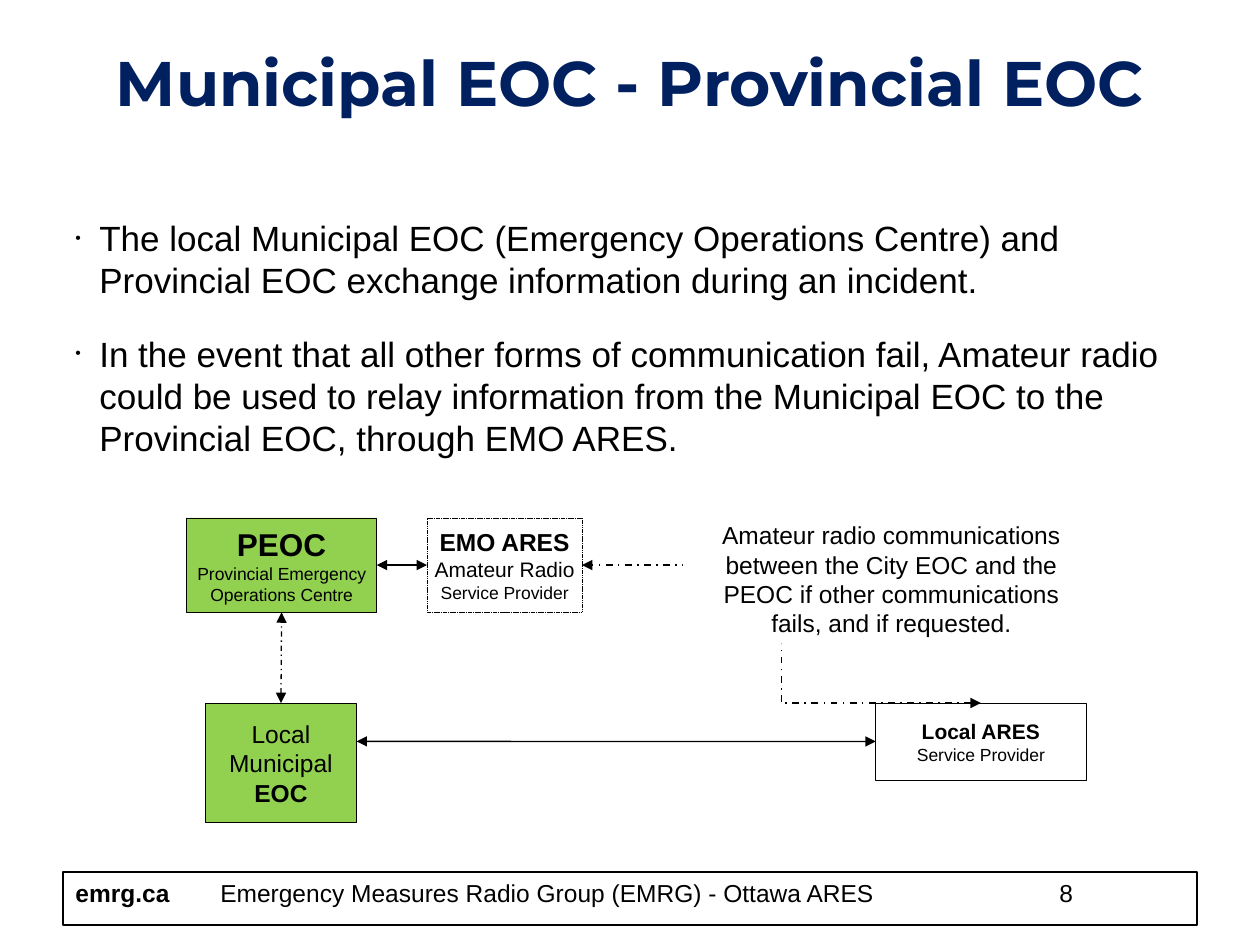
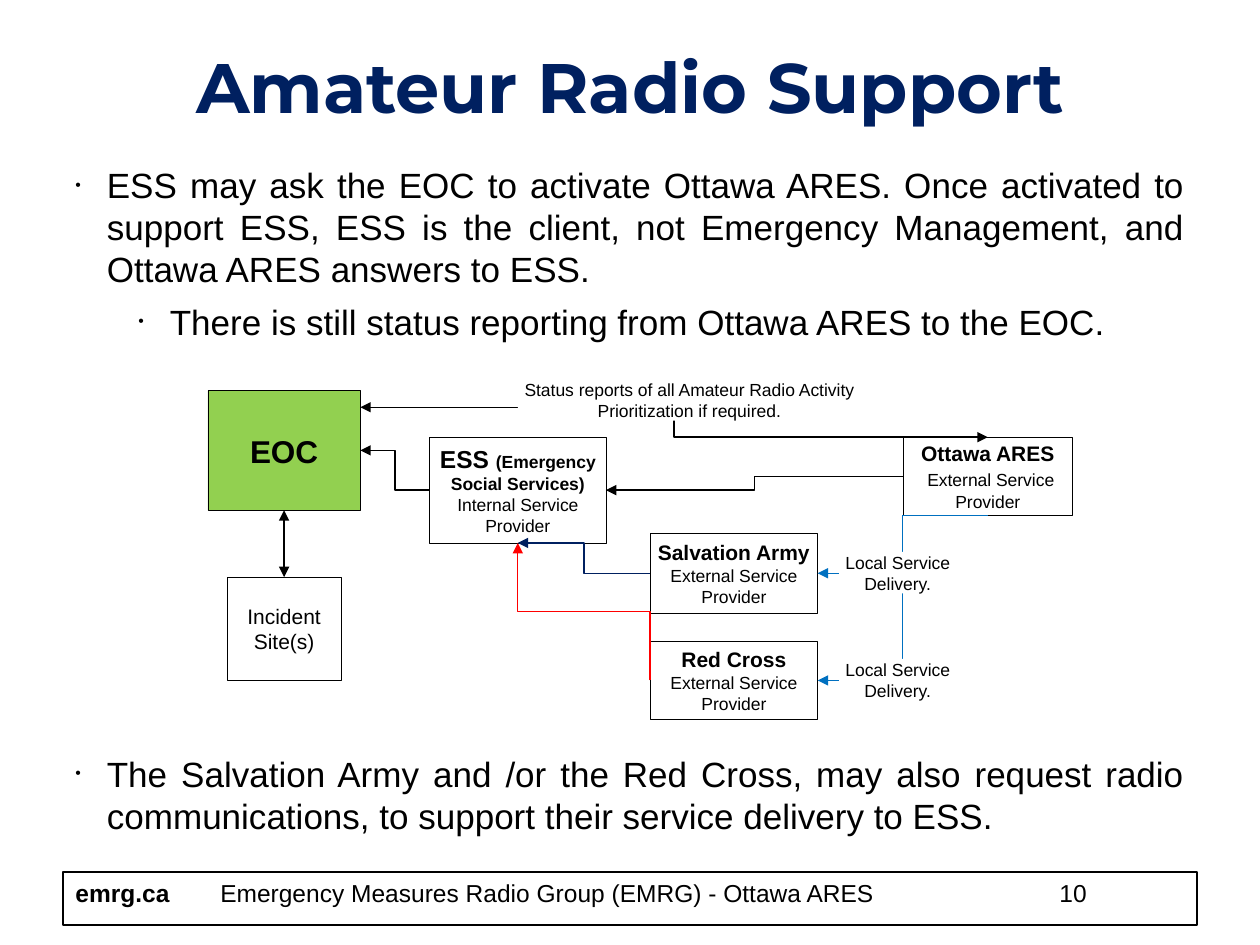
from pptx import Presentation
from pptx.util import Inches, Pt
from pptx.dml.color import RGBColor
from pptx.enum.dml import MSO_LINE
from pptx.enum.shapes import MSO_CONNECTOR as CONN, MSO_SHAPE
from pptx.enum.text import MSO_ANCHOR as ANCHOR, PP_ALIGN as ALIGN
from pptx.oxml.ns import qn
from lxml import etree

BLACK = RGBColor(0x00, 0x00, 0x00)
WHITE = RGBColor(0xFF, 0xFF, 0xFF)
NAVY = RGBColor(0x00, 0x20, 0x60)
GREEN = RGBColor(0x92, 0xD0, 0x50)
BLUE = RGBColor(0x00, 0x70, 0xC0)
RED = RGBColor(0xFF, 0x00, 0x00)
CELL = Inches(0.1)
COLS, ROWS = 100, 75
MARGIN, BAND_TOP = 5, 69.2
WIDTH = COLS - 2 * MARGIN


def grid(*cells):
    return [round(c * CELL) for c in cells]


def run(text, size=10, bold=False):
    return text, size, bold


def write(p, runs, color=BLACK, font="Arial", align=ALIGN.LEFT):
    p.alignment = align
    for text, size, bold in runs:
        r = p.add_run()
        r.text = text
        r.font.size, r.font.bold, r.font.name = Pt(size), bold, font
        r.font.color.rgb = color


def fill_frame(tf, paragraphs, inset=(1, 0.5), anchor=ANCHOR.TOP, **style):
    tf.word_wrap = True
    tf.vertical_anchor = anchor
    tf.margin_left = tf.margin_right = grid(inset[0])[0]
    tf.margin_top = tf.margin_bottom = grid(inset[1])[0]
    for i, runs in enumerate(paragraphs):
        write(tf.add_paragraph() if i else tf.paragraphs[0], runs, **style)


def text_box(s, at, *paragraphs, **style):
    sp = s.shapes.add_textbox(*grid(*at))
    fill_frame(sp.text_frame, paragraphs, **style)
    return sp


def box(s, at, *paragraphs, fill=None, line=0.25, dash=None, **style):
    sp = s.shapes.add_shape(MSO_SHAPE.RECTANGLE, *grid(*at))
    sp.shadow.inherit = False
    if fill is None:
        sp.fill.background()
    else:
        sp.fill.solid()
        sp.fill.fore_color.rgb = fill
    if line:
        sp.line.color.rgb = BLACK
        sp.line.width = Pt(line)
        if dash:
            sp.line.dash_style = dash
    else:
        sp.line.fill.background()
    style = {"anchor": ANCHOR.MIDDLE, "align": ALIGN.CENTER, **style}
    fill_frame(sp.text_frame, paragraphs, **style)
    return sp


def label(s, at, *lines, size=10, inset=(0, 0)):
    return box(s, at, *[[run(t, size)] for t in lines], fill=WHITE, line=None,
               anchor=ANCHOR.TOP, inset=inset)


def bullets(s, at, items, align=ALIGN.LEFT, hang=0.25):
    tf = text_box(s, at, *[[run(text, 20)] for text, _, _ in items], align=align).text_frame
    for p, (_, level, before) in zip(tf.paragraphs, items):
        p.level = level
        pPr = p._p.get_or_add_pPr()
        pPr.set("marL", str(Inches(hang + 0.5 * level)))
        pPr.set("indent", str(-Inches(hang)))
        etree.SubElement(pPr, qn("a:buSzPct")).set("val", "45000")
        etree.SubElement(pPr, qn("a:buFont")).set("typeface", "Arial")
        etree.SubElement(pPr, qn("a:buChar")).set("char", "•")
        if before:
            p.space_before = Pt(before)


def edge(sp, across, down):
    return sp.left + round(sp.width * across), sp.top + round(sp.height * down)


def arrow(s, start, end, color=BLACK, width=0.75, both=False, dash=None, upright=False):
    (x1, y1), (x2, y2) = start, end
    straight = abs(x1 - x2) < CELL / 5 or abs(y1 - y2) < CELL / 5
    if upright:
        cx, cy = (x1 + x2) // 2, (y1 + y2) // 2
        half_w, half_h = abs(y2 - y1) // 2, abs(x2 - x1) // 2
        x1, y1, x2, y2 = cx - half_w, cy + half_h, cx + half_w, cy - half_h
    c = s.shapes.add_connector(CONN.STRAIGHT if straight else CONN.ELBOW, x1, y1, x2, y2)
    if upright:
        c._element.spPr.find(qn("a:xfrm")).set("rot", "16200000")
    c.line.color.rgb = color
    c.line.width = Pt(width)
    if dash:
        c.line.dash_style = dash
    ln = c.line._get_or_add_ln()
    for end_name in ("headEnd", "tailEnd") if both else ("tailEnd",):
        etree.SubElement(ln, qn("a:" + end_name)).set("type", "triangle")
    etree.SubElement(c._element.spPr, qn("a:effectLst"))


def add_slide(prs, title, title_size, number):
    s = prs.slides.add_slide(prs.slide_layouts[6])
    box(s, (MARGIN, BAND_TOP, WIDTH, 4.2), line=1)
    footer = ((MARGIN, 10.1, "emrg.ca", True),
              (16.5, 66, "Emergency Measures Radio Group (EMRG) - Ottawa ARES", False),
              (83.1, 11.9, number, False))
    for left, width, text, bold in footer:
        text_box(s, (left, BAND_TOP, width, 4.2), [run(text, 14, bold)])
    text_box(s, (MARGIN, 3, WIDTH, 10), [run(title, title_size, True)],
             color=NAVY, font="Montserrat", align=ALIGN.CENTER)
    return s


def eoc_slide(prs):
    s = add_slide(prs, "Municipal EOC - Provincial EOC", 36, "8")
    bullets(s, (MARGIN, 16.7, WIDTH, 20.2), [
        ("The local Municipal EOC (Emergency Operations Centre) and Provincial EOC "
         "exchange information during an incident.", 0, 0),
        ("In the event that all other forms of communication fail, Amateur radio could "
         "be used to relay information from the Municipal EOC to the Provincial EOC, "
         "through EMO ARES.", 0, 18)], hang=0.19)
    municipal = box(s, (16.3, 55.8, 12, 9.5), [run("Local Municipal", 14)],
                    [run("EOC", 14, True)], fill=GREEN)
    local_ares = box(s, (69.5, 55.8, 16.7, 6.1), [run("Local ARES", 12, True)],
                     [run("Service Provider")], inset=(0.4, 0.5))
    peoc = box(s, (14.8, 41.1, 15.1, 7.5), [run("PEOC", 18, True)],
               [run("Provincial Emergency Operations Centre")], fill=GREEN, inset=(0, 0.5))
    emo_ares = box(s, (33.9, 41.1, 12.3, 7.5), [run("EMO ARES", 14, True)],
                   [run("Amateur Radio ", 12), run("Service Provider")],
                   dash=MSO_LINE.SQUARE_DOT, inset=(0, 0.5))
    arrow(s, edge(local_ares, 0, 0.5), edge(municipal, 1, 0.32), both=True)
    arrow(s, edge(emo_ares, 0, 0.5), edge(peoc, 1, 0.5), both=True)
    arrow(s, edge(local_ares, 0.5, 0), edge(emo_ares, 1, 0.5), width=1, both=True,
          dash=MSO_LINE.DASH_DOT)
    arrow(s, edge(municipal, 0.5, 0), edge(peoc, 0.5, 1), both=True, dash=MSO_LINE.DASH_DOT)
    label(s, (54.2, 40.8, 33.1, 10.3),
          "Amateur radio communications between the City EOC and the PEOC if other "
          "communications fails, and if requested.", size=14, inset=(1, 0.5))


def support_slide(prs):
    s = add_slide(prs, "Amateur Radio Support", 40, "10")
    external = [run("External Service Provider")]
    ess = box(s, (34.1, 34.7, 14, 8.4),
              [run("ESS ", 14, True), run("(Emergency Social Services)", 10, True)],
              [run("Internal Service Provider")], inset=(0, 0.5))
    red_cross = box(s, (51.6, 50.9, 13.3, 6.2), [run("Red Cross", 12, True)], external)
    site = box(s, (18, 45.8, 9.1, 8.2), [run("Incident Site(s)", 12)])
    eoc = box(s, (16.5, 31, 12.1, 9.5), [run("EOC", 18, True)], fill=GREEN)
    ares = box(s, (71.7, 34.7, 13.4, 6.2), [run("Ottawa ARES", 12, True)],
               [run(" ", 12, True)] + external, inset=(0, 0.5))
    salvation = box(s, (51.6, 42.3, 13.3, 6.4), [run("Salvation Army", 12, True)],
                    external, inset=(0, 0.5))
    arrow(s, edge(ares, 0.5, 1), edge(red_cross, 1, 0.5), BLUE)
    arrow(s, edge(ares, 0, 0.5), edge(ess, 1, 0.5))
    arrow(s, edge(ares, 0.5, 0), edge(eoc, 1, 0.14), both=True)
    arrow(s, edge(red_cross, 0, 0.5), edge(ess, 0.5, 1), RED, upright=True)
    arrow(s, edge(ares, 0.5, 1), edge(salvation, 1, 0.5), BLUE)
    arrow(s, edge(salvation, 0, 0.5), edge(ess, 0.5, 1), NAVY)
    arrow(s, edge(site, 0.5, 0), edge(eoc, 0.5, 1), both=True)
    arrow(s, edge(ess, 0, 0.5), edge(eoc, 1, 0.5))
    label(s, (41.1, 30.1, 27.2, 3.3), "Status reports of all Amateur Radio Activity",
          "Prioritization if required.")
    for top in (43.8, 52.3):
        label(s, (66.6, top, 9.3, 3.3), "Local Service Delivery.")
    bullets(s, (MARGIN, 12.5, WIDTH, 15.2), [
        ("ESS may ask the EOC to activate Ottawa ARES. Once activated to support ESS, "
         "ESS is the client, not Emergency Management, and Ottawa ARES answers to ESS. ", 0, 0),
        ("There is still status reporting from Ottawa ARES to the EOC.", 1, 6)],
        align=ALIGN.JUSTIFY)
    bullets(s, (MARGIN, 59.2, WIDTH, 7.7), [
        ("The Salvation Army and /or the Red Cross, may also request radio communications, "
         "to support their service delivery to ESS. ", 0, 0)], align=ALIGN.JUSTIFY)


def main():
    prs = Presentation()
    prs.slide_width, prs.slide_height = grid(COLS, ROWS)
    eoc_slide(prs)
    support_slide(prs)
    prs.save("out.pptx")


if __name__ == "__main__":
    main()
